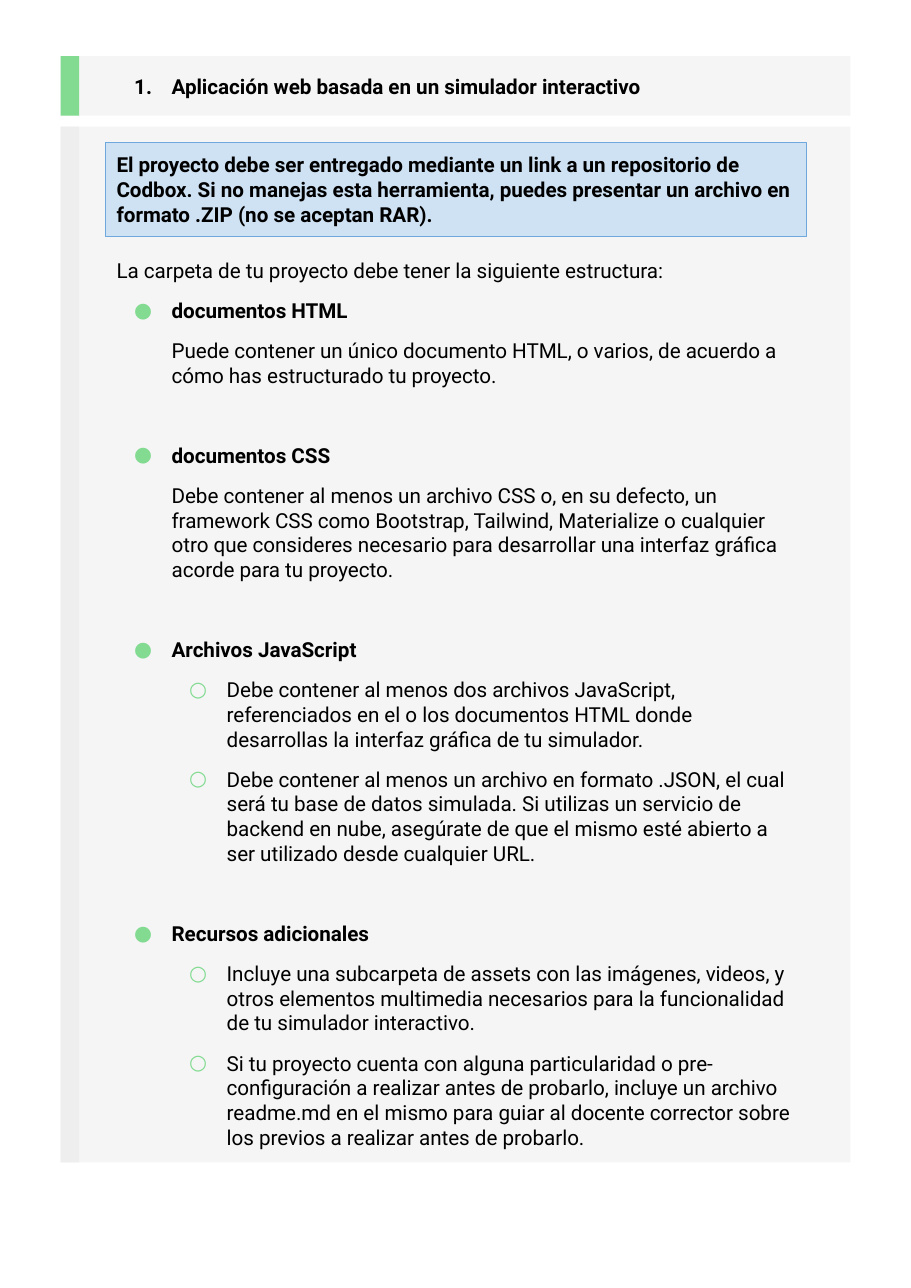
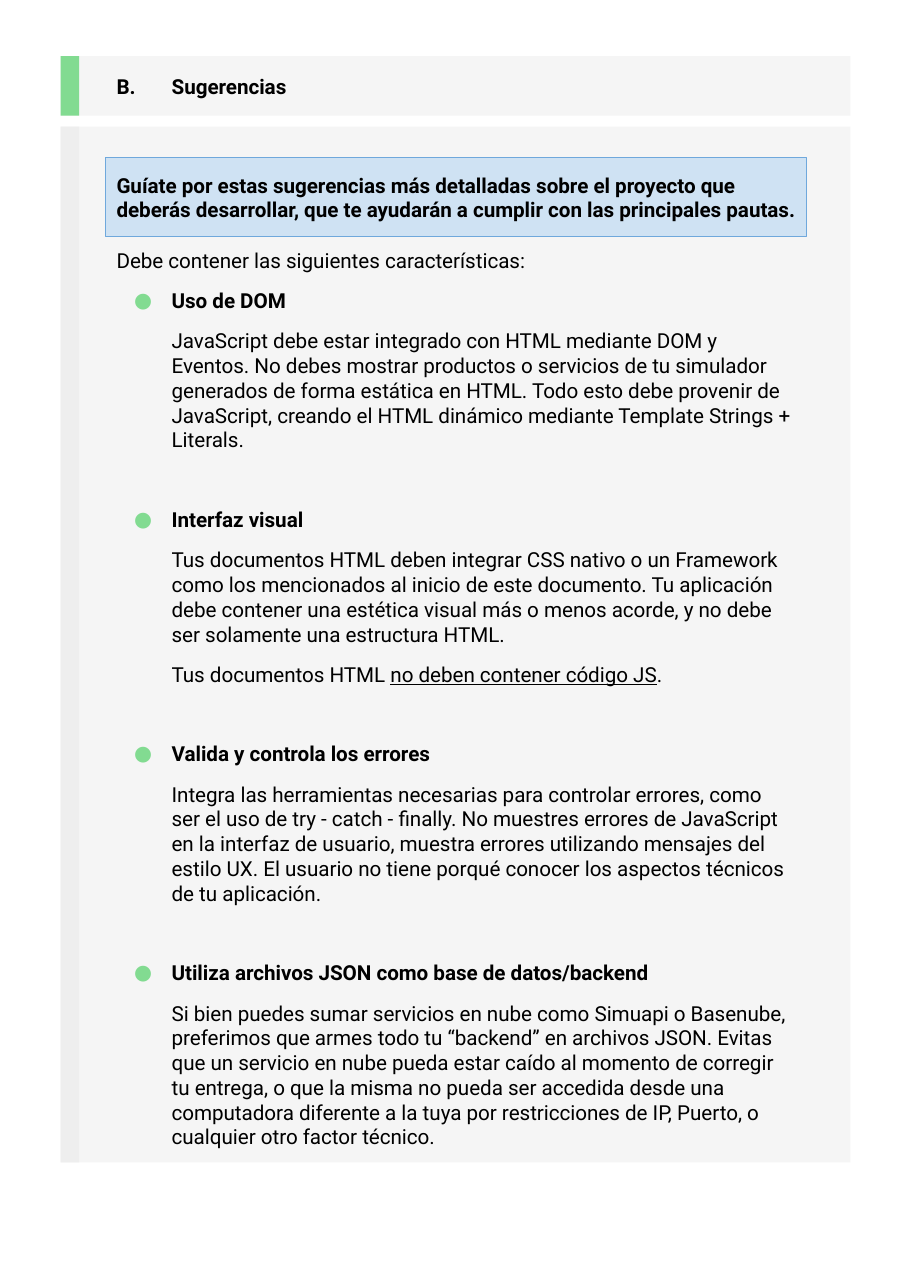
from dataclasses import dataclass

from lxml.etree import SubElement
from pptx import Presentation
from pptx.dml.color import RGBColor
from pptx.enum.shapes import MSO_SHAPE as Preset
from pptx.enum.text import MSO_ANCHOR as Anchor, MSO_AUTO_SIZE as AutoSize, PP_ALIGN as Align
from pptx.oxml.ns import qn
from pptx.util import Pt

# Content: each body entry is (kind, text); a list of texts alternates plain and underlined
PAGES = [
    {
        "title": "Aplicación web basada en un simulador interactivo",
        "title_kind": "number",
        "callout": "El proyecto debe ser entregado mediante un link a un repositorio de Codbox. "
                   "Si no manejas esta herramienta, puedes presentar un archivo en formato .ZIP "
                   "(no se aceptan RAR).",
        "callout_box": (96, 129, 636, 86),
        "body_box": (96, 224, 636, 839),
        "body": [
            ("intro", "La carpeta de tu proyecto debe tener la siguiente estructura:"),
            ("first", "documentos HTML"),
            ("detail", "Puede contener un único documento HTML, o varios, de acuerdo a cómo has "
                       "estructurado tu proyecto."),
            ("heading", "documentos CSS"),
            ("detail", "Debe contener al menos un archivo CSS o, en su defecto, un framework CSS "
                       "como Bootstrap, Tailwind, Materialize o cualquier otro que consideres "
                       "necesario para desarrollar una interfaz gráfica acorde para tu proyecto."),
            ("heading", "Archivos JavaScript"),
            ("item", "Debe contener al menos dos archivos JavaScript, referenciados en el o los "
                     "documentos HTML donde desarrollas la interfaz gráfica de tu simulador."),
            ("item", "Debe contener al menos un archivo en formato .JSON, el cual será tu base de "
                     "datos simulada. Si utilizas un servicio de backend en nube, asegúrate de "
                     "que el mismo esté abierto a ser utilizado desde cualquier URL."),
            ("heading", "Recursos adicionales"),
            ("item", "Incluye una subcarpeta de assets con las imágenes, videos, y otros elementos "
                     "multimedia necesarios para la funcionalidad de tu simulador interactivo."),
            ("item", "Si tu proyecto cuenta con alguna particularidad o pre-configuración a "
                     "realizar antes de probarlo, incluye un archivo readme.md en el mismo para "
                     "guiar al docente corrector sobre los previos a realizar antes de probarlo."),
        ],
    },
    {
        "title": "B.\tSugerencias",
        "title_kind": "letter",
        "callout": "Guíate por estas sugerencias más detalladas sobre el proyecto que deberás "
                   "desarrollar, que te ayudarán a cumplir con las principales pautas.",
        "callout_box": (96, 143, 636, 72),
        "body_box": (96, 215, 636, 848),
        "body": [
            ("intro", "Debe contener las siguientes características:"),
            ("first", "Uso de DOM"),
            ("detail", "JavaScript debe estar integrado con HTML mediante DOM y Eventos. No debes "
                       "mostrar productos o servicios de tu simulador generados de forma estática "
                       "en HTML. Todo esto debe provenir de JavaScript, creando el HTML dinámico "
                       "mediante Template Strings + Literals."),
            ("heading", "Interfaz visual"),
            ("detail", "Tus documentos HTML deben integrar CSS nativo o un Framework como los "
                       "mencionados al inicio de este documento. Tu aplicación debe contener una "
                       "estética visual más o menos acorde, y no debe ser solamente una "
                       "estructura HTML."),
            ("detail", ["Tus documentos HTML ", "no deben contener código JS", "."]),
            ("heading", "Valida y controla los errores"),
            ("detail", "Integra las herramientas necesarias para controlar errores, como ser el "
                       "uso de try - catch - finally. No muestres errores de JavaScript en la "
                       "interfaz de usuario, muestra errores utilizando mensajes del estilo UX. "
                       "El usuario no tiene porqué conocer los aspectos técnicos de tu aplicación."),
            ("heading", "Utiliza archivos JSON como base de datos/backend"),
            ("detail", "Si bien puedes sumar servicios en nube como Simuapi o Basenube, preferimos "
                       "que armes todo tu “backend” en archivos JSON. Evitas que un servicio en "
                       "nube pueda estar caído al momento de corregir tu entrega, o que la misma "
                       "no pueda ser accedida desde una computadora diferente a la tuya por "
                       "restricciones de IP, Puerto, o cualquier otro factor técnico."),
        ],
    },
]


@dataclass(frozen=True)
class Theme:
    font: str = "Roboto"
    size: float = 13.5
    text: str = "000000"
    panel: str = "F5F5F5"
    strip: str = "EEEEEE"
    accent: str = "82DB91"
    callout: str = "CFE2F3"
    callout_line: str = "6FA8DC"
    gap: int = 10
    section_gap: int = 36


THEME = Theme()
PX = 9144  # 100 px to the inch
PAGE_SIZE = (827, 1169)
PANEL_LEFT, PANEL_WIDTH, STRIP_WIDTH = 55, 717, 17
BANDS = [(115, 940, THEME.strip), (51, 54, THEME.accent)]  # top, height, strip colour
TITLE_BOX = (96, 54, 652, 49)
INSET, HANGING, TAB_STOP = 10, 34, 100

KINDS = {
    "number": dict(bold=True, indent=50, bullet="1.", bullet_color=THEME.text),
    "letter": dict(bold=True, tab=TAB_STOP),
    "callout": dict(bold=True),
    "intro": dict(),
    "first": dict(bold=True, indent=50, bullet="●", before=THEME.gap),
    "heading": dict(bold=True, indent=50, bullet="●", before=THEME.section_gap),
    "detail": dict(indent=50, before=THEME.gap),
    "item": dict(indent=100, bullet="○", before=THEME.gap, level=1),
}


def emu(box):
    return [value * PX for value in box]


def add_box(shapes, box, color, line=None):
    shape = shapes.add_shape(Preset.RECTANGLE, *emu(box))
    shape.shadow.inherit = False
    shape.fill.solid()
    shape.fill.fore_color.rgb = RGBColor.from_string(color)
    if line:
        shape.line.color.rgb = RGBColor.from_string(line)
        shape.line.width = Pt(0.75)
    else:
        shape.line.fill.background()
    return shape


def write(paragraph, text, bold=False, indent=0, bullet=None, bullet_color=THEME.accent,
          before=0, level=0, tab=None):
    """Fill one paragraph; every second part of a list is underlined."""
    paragraph.alignment = Align.LEFT
    paragraph.level = level
    paragraph.space_before = Pt(before)
    properties = paragraph._p.get_or_add_pPr()
    properties.set("marL", str(indent * PX))
    properties.set("indent", str(-HANGING * PX if bullet else 0))
    if bullet:
        color = SubElement(properties, qn("a:buClr"))
        SubElement(color, qn("a:srgbClr"), val=bullet_color)
        SubElement(properties, qn("a:buFont"), typeface=THEME.font)
        if bullet == "1.":
            SubElement(properties, qn("a:buAutoNum"), type="arabicPeriod")
        else:
            SubElement(properties, qn("a:buChar"), char=bullet)
    if tab:
        tabs = SubElement(properties, qn("a:tabLst"))
        SubElement(tabs, qn("a:tab"), pos=str(tab * PX), algn="l")
    for index, part in enumerate([text] if isinstance(text, str) else text):
        run = paragraph.add_run()
        run.text = part
        run.font.name = THEME.font
        run.font.size = Pt(THEME.size)
        run.font.bold = bold
        run.font.color.rgb = RGBColor.from_string(THEME.text)
        if index % 2:
            run.font.underline = True


def fill_text(shape, entries, anchor=Anchor.MIDDLE):
    frame = shape.text_frame
    frame.word_wrap = True
    frame.vertical_anchor = anchor
    frame.margin_left = frame.margin_right = INSET * PX
    frame.margin_top = frame.margin_bottom = INSET * PX
    for index, (kind, text) in enumerate(entries):
        paragraph = frame.add_paragraph() if index else frame.paragraphs[0]
        write(paragraph, text, **KINDS[kind])
    return frame


def add_bands(slide):
    for top, height, strip_color in BANDS:
        shapes = slide.shapes.add_group_shape().shapes
        add_box(shapes, (PANEL_LEFT, top, PANEL_WIDTH, height), THEME.panel)
        add_box(shapes, (PANEL_LEFT, top, STRIP_WIDTH, height), strip_color)


def add_page(presentation, page):
    slide = presentation.slides.add_slide(presentation.slide_layouts[6])
    add_bands(slide)
    # Title
    title = slide.shapes.add_textbox(*emu(TITLE_BOX))
    fill_text(title, [(page["title_kind"], page["title"])])
    # Body
    body = slide.shapes.add_textbox(*emu(page["body_box"]))
    frame = fill_text(body, page["body"], anchor=Anchor.TOP)
    frame.auto_size = AutoSize.SHAPE_TO_FIT_TEXT
    # Callout
    callout = add_box(slide.shapes, page["callout_box"], THEME.callout, THEME.callout_line)
    fill_text(callout, [("callout", page["callout"])])


def main():
    presentation = Presentation()
    presentation.slide_width, presentation.slide_height = emu(PAGE_SIZE)
    for page in PAGES:
        add_page(presentation, page)
    presentation.save("out.pptx")


if __name__ == "__main__":
    main()
